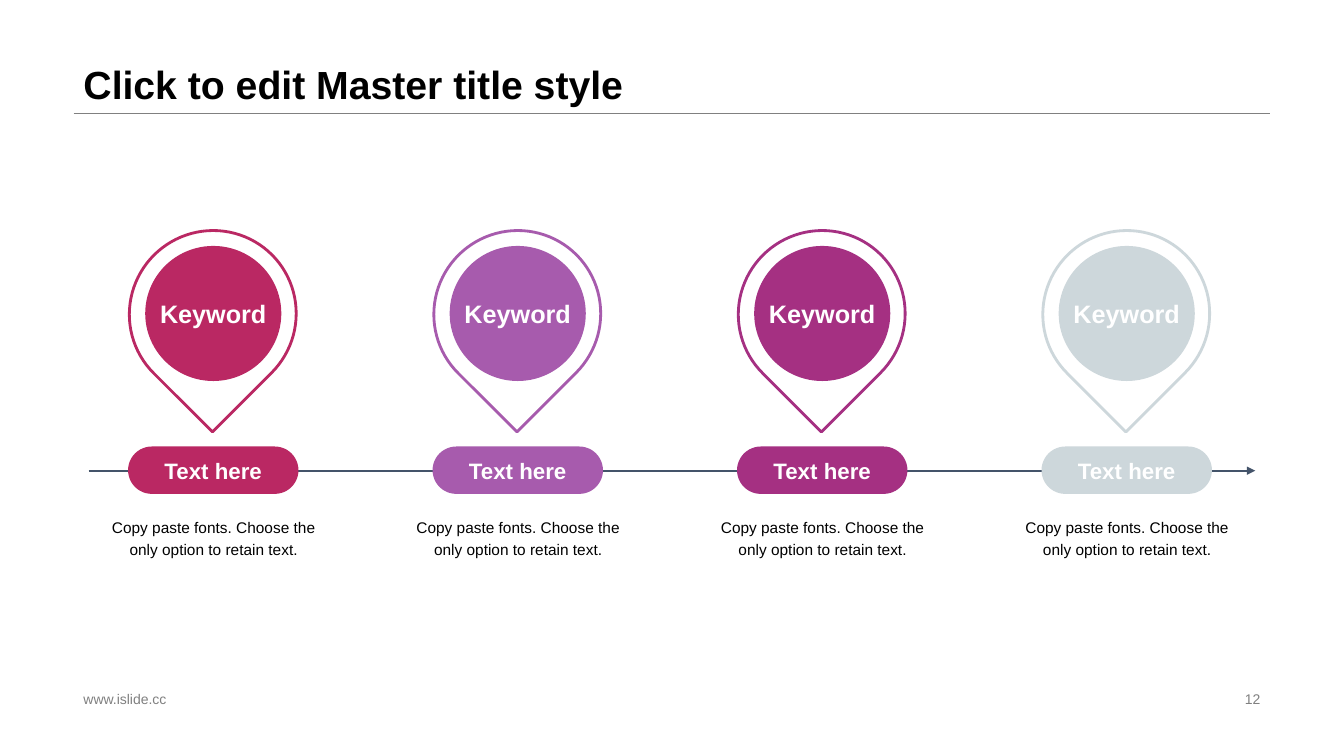
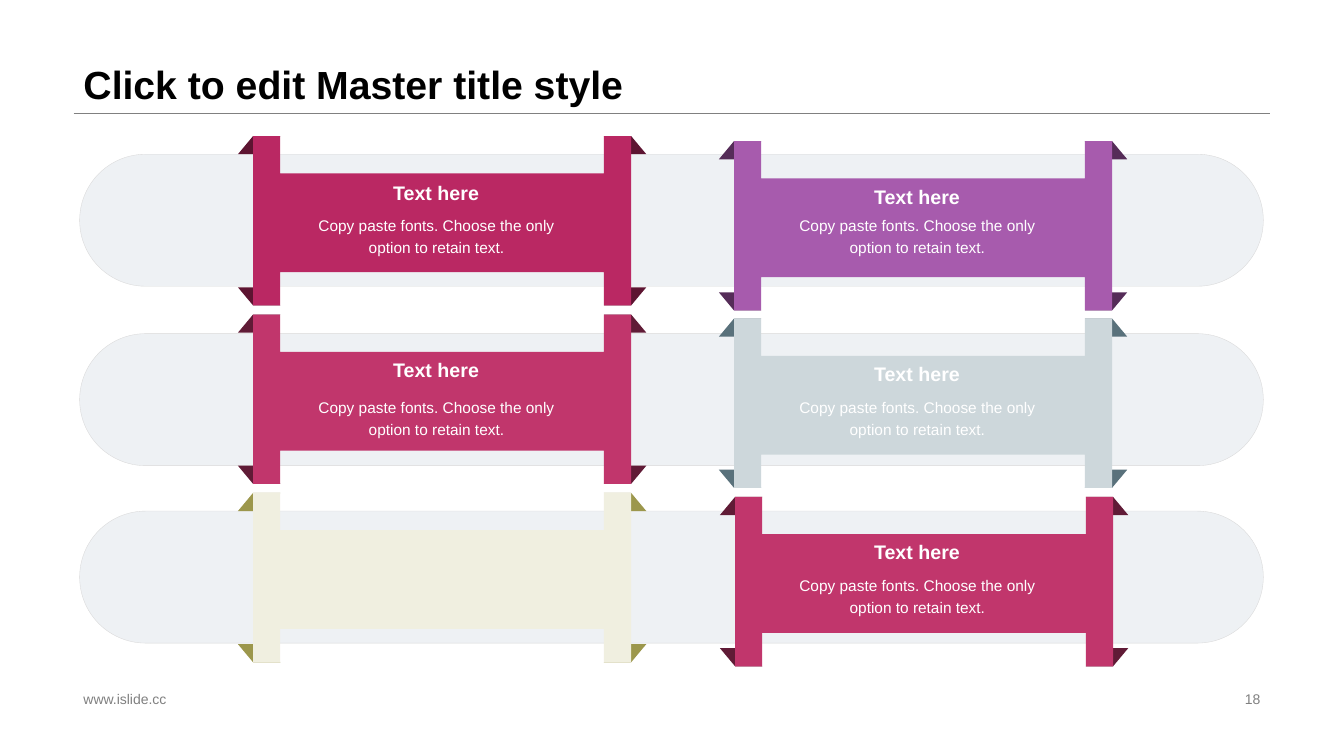
from dataclasses import dataclass
from typing import Optional

from pptx import Presentation
from pptx.dml.color import RGBColor
from pptx.enum.shapes import MSO_CONNECTOR, MSO_SHAPE
from pptx.enum.text import MSO_ANCHOR, PP_ALIGN
from pptx.oxml.ns import qn
from pptx.oxml.xmlchemy import OxmlElement
from pptx.shapes.autoshape import Shape
from pptx.slide import Slide
from pptx.util import Emu, Pt

PX = 9144  # EMU in one px, 100 px to the inch
FONT = "Arial"
BLACK, WHITE, GREY, NAVY = "000000", "FFFFFF", "808080", "44546A"
CRIMSON, ROSE, ORCHID, PLUM = "BA2863", "C1366C", "A75BAD", "A53082"
MIST, CREAM = "CDD7DB", "F0EFE0"
BAND_FILL, BAND_LINE = "D6DCE5", "D9D9D9"

TITLE = "Click to edit Master title style"
HEADING = "Text here"
BODY = "Copy paste fonts. Choose the only option to retain text."

BANNER_WIDTH, BANNER_HEIGHT = 375, 168
POST_WIDTH = 27
PANEL_TOP, PANEL_BOTTOM = 37, 135
FOLD = [(-15, 18), (0, 0), (POST_WIDTH, 0), (12, 18)]


@dataclass(frozen=True)
class Area:
    left: int
    top: int
    width: int
    height: int

    def emu(self) -> list[Emu]:
        return [Emu(side * PX) for side in (self.left, self.top, self.width, self.height)]


@dataclass(frozen=True)
class Caption:
    left: int
    heading_top: int
    body_top: int


@dataclass(frozen=True)
class Banner:
    left: int
    top: int
    color: str
    fold_color: str
    caption: Optional[Caption] = None


PIN_COLORS = [CRIMSON, ORCHID, PLUM, MIST]
PIN_STEP = 302
BAND_TOPS = [153, 331, 507]
BANNERS = [
    Banner(251, 135, CRIMSON, "5D1431", Caption(299, 173, 206)),
    Banner(251, 312, ROSE, "601B36", Caption(299, 348, 386)),
    Banner(251, 489, CREAM, "9C974C"),
    Banner(728, 140, ORCHID, "552C58", Caption(776, 177, 206)),
    Banner(728, 316, MIST, "59717B", Caption(776, 352, 386)),
    Banner(729, 493, ROSE, "601B36", Caption(776, 529, 563)),
]


def rgb(color: str) -> RGBColor:
    return RGBColor.from_string(color)


def write(box: Shape, text: str, *, size: float, color: str = BLACK, bold: bool = False,
          align: PP_ALIGN = PP_ALIGN.CENTER, anchor: MSO_ANCHOR = MSO_ANCHOR.MIDDLE,
          spacing: float = 1.0, wrap: bool = True) -> None:
    frame = box.text_frame
    frame.word_wrap = wrap
    frame.vertical_anchor = anchor
    para = frame.paragraphs[0]
    para.alignment = align
    para.line_spacing = spacing
    span = para.add_run()
    span.text = text
    span.font.name = FONT
    span.font.size = Pt(size)
    span.font.bold = bold
    span.font.color.rgb = rgb(color)


def add_text(page: Slide, area: Area, text: str, **text_format) -> None:
    write(page.shapes.add_textbox(*area.emu()), text, **text_format)


def add_body(page: Slide, area: Area, color: str) -> None:
    add_text(page, area, BODY, size=11, color=color, anchor=MSO_ANCHOR.TOP, spacing=1.2)


def paint(shape: Shape, fill: str, line: Optional[str] = None, line_width: float = 1) -> None:
    shape.shadow.inherit = False
    shape.fill.solid()
    shape.fill.fore_color.rgb = rgb(fill)
    if line is None:
        shape.line.fill.background()
    else:
        shape.line.color.rgb = rgb(line)
        shape.line.width = Pt(line_width)


def add_preset(page: Slide, kind: MSO_SHAPE, area: Area, fill: str,
               line: Optional[str] = None, line_width: float = 1) -> Shape:
    shape = page.shapes.add_shape(kind, *area.emu())
    if kind == MSO_SHAPE.ROUNDED_RECTANGLE:
        shape.adjustments[0] = 0.5
    paint(shape, fill, line, line_width)
    return shape


def set_opacity(shape: Shape, percent: int) -> None:
    alpha = OxmlElement("a:alpha")
    alpha.set("val", str(percent * 1000))
    shape.element.spPr.find(qn("a:solidFill")).find(qn("a:srgbClr")).append(alpha)


def add_outline(page: Slide, points: list[tuple[int, int]], fill: str) -> None:
    builder = page.shapes.build_freeform(*points[0], scale=PX)
    builder.add_line_segments(points[1:], close=True)
    paint(builder.convert_to_shape(), fill)


def add_rule(page: Slide, left: int, right: int, y: int, color: str, width: float,
             arrow: bool = False) -> None:
    rule = page.shapes.add_connector(
        MSO_CONNECTOR.STRAIGHT, *[Emu(place * PX) for place in (left, y, right, y)])
    rule.line.color.rgb = rgb(color)
    rule.line.width = Pt(width)
    properties = rule.element.spPr
    if arrow:
        head = OxmlElement("a:tailEnd")
        head.set("type", "triangle")
        properties.find(qn("a:ln")).append(head)
    properties.append(OxmlElement("a:effectLst"))


def add_page(deck: Presentation, number: int) -> Slide:
    """Add a page with the shared title, rule and footer."""
    page = deck.slides.add_slide(deck.slide_layouts[6])
    add_rule(page, 73, 1260, 112, GREY, 0.25)
    add_text(page, Area(73, 0, 1187, 112), TITLE, size=28, bold=True,
             align=PP_ALIGN.LEFT, anchor=MSO_ANCHOR.BOTTOM, spacing=0.9)
    add_text(page, Area(73, 682, 453, 23), "www.islide.cc", size=10, color=GREY,
             align=PP_ALIGN.LEFT)
    add_text(page, Area(942, 682, 318, 23), str(number), size=10, color=GREY,
             align=PP_ALIGN.RIGHT)
    return page


def add_pin(page: Slide, left: int, color: str) -> None:
    """Draw a map pin with its label and text; left is the edge of the text."""
    drop = add_preset(page, MSO_SHAPE.TEAR, Area(left + 36, 229, 166, 165), WHITE, color, 2)
    drop.rotation = 135
    disc = add_preset(page, MSO_SHAPE.OVAL, Area(left + 52, 244, 135, 134), color)
    write(disc, "Keyword", size=18, color=WHITE, bold=True, wrap=False)
    label = add_preset(page, MSO_SHAPE.ROUNDED_RECTANGLE, Area(left + 35, 443, 169, 47), color)
    write(label, HEADING, size=15.9, color=WHITE, bold=True, wrap=False)
    add_body(page, Area(left, 505, 240, 61), BLACK)


def add_band(page: Slide, top: int) -> None:
    band = add_preset(page, MSO_SHAPE.ROUNDED_RECTANGLE, Area(79, top, 1174, 131),
                      BAND_FILL, BAND_LINE, 0.25)
    set_opacity(band, 40)


def add_caption(page: Slide, caption: Caption) -> None:
    add_text(page, Area(caption.left, caption.heading_top, 267, 35), HEADING, size=14,
             color=WHITE, bold=True, anchor=MSO_ANCHOR.BOTTOM, wrap=False)
    add_body(page, Area(caption.left, caption.body_top, 268, 61), WHITE)


def add_banner(page: Slide, banner: Banner) -> None:
    """Draw four folds, the panel between two posts, and any caption."""
    def place(points: list[tuple[int, int]]) -> list[tuple[int, int]]:
        return [(banner.left + x, banner.top + y) for x, y in points]

    for mirror_x in (False, True):
        for mirror_y in (False, True):
            fold = [(BANNER_WIDTH - x if mirror_x else x,
                     BANNER_HEIGHT - y if mirror_y else y) for x, y in FOLD]
            add_outline(page, place(fold), banner.fold_color)

    inner_right = BANNER_WIDTH - POST_WIDTH
    add_outline(page, place([
        (0, 0), (POST_WIDTH, 0), (POST_WIDTH, PANEL_TOP),
        (inner_right, PANEL_TOP), (inner_right, 0), (BANNER_WIDTH, 0),
        (BANNER_WIDTH, BANNER_HEIGHT), (inner_right, BANNER_HEIGHT),
        (inner_right, PANEL_BOTTOM), (POST_WIDTH, PANEL_BOTTOM),
        (POST_WIDTH, BANNER_HEIGHT), (0, BANNER_HEIGHT),
    ]), banner.color)
    if banner.caption:
        add_caption(page, banner.caption)


def add_timeline_page(deck: Presentation) -> None:
    page = add_page(deck, 12)
    add_rule(page, 88, 1245, 467, NAVY, 1.5, arrow=True)
    for index, color in enumerate(PIN_COLORS):
        add_pin(page, 92 + index * PIN_STEP, color)


def add_banner_page(deck: Presentation) -> None:
    page = add_page(deck, 18)
    for top in BAND_TOPS:
        add_band(page, top)
    for banner in BANNERS:
        add_banner(page, banner)


def main() -> None:
    deck = Presentation()
    deck.slide_width = Emu(1333 * PX)
    deck.slide_height = Emu(750 * PX)
    add_timeline_page(deck)
    add_banner_page(deck)
    deck.save("out.pptx")


if __name__ == "__main__":
    main()
